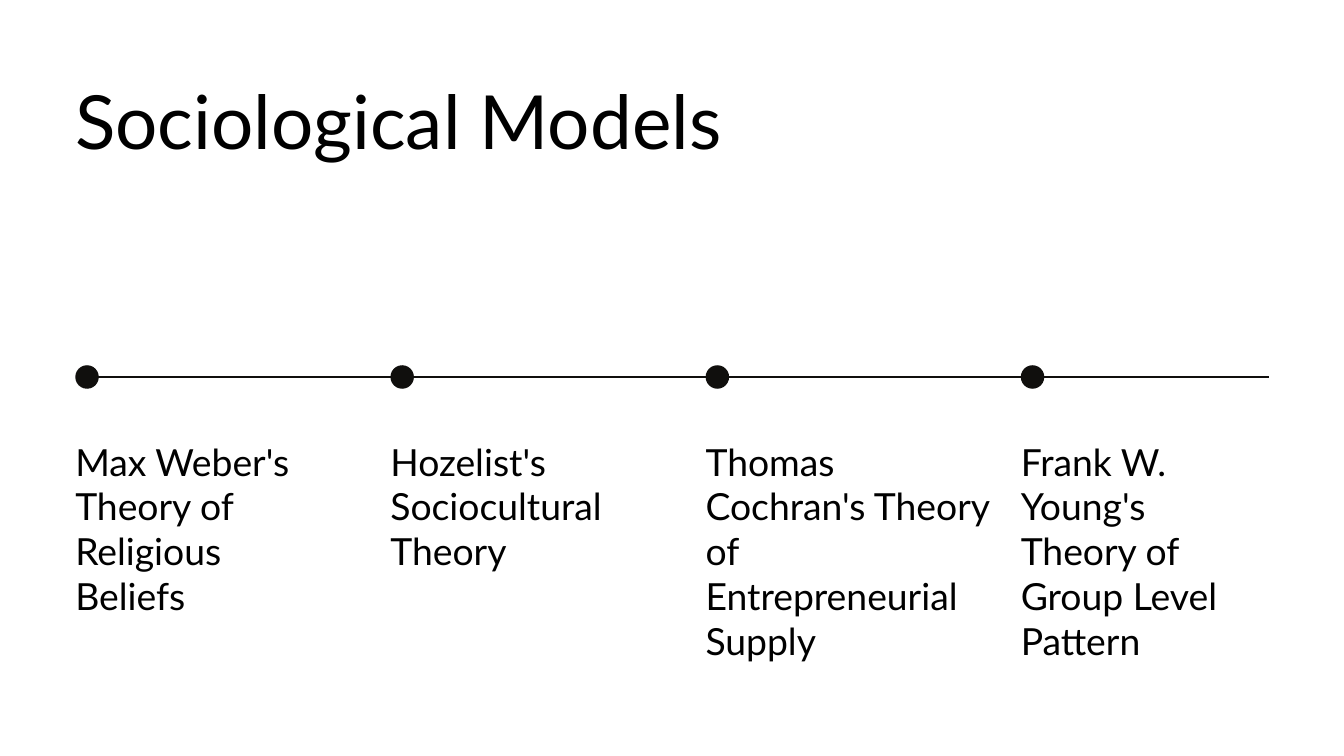
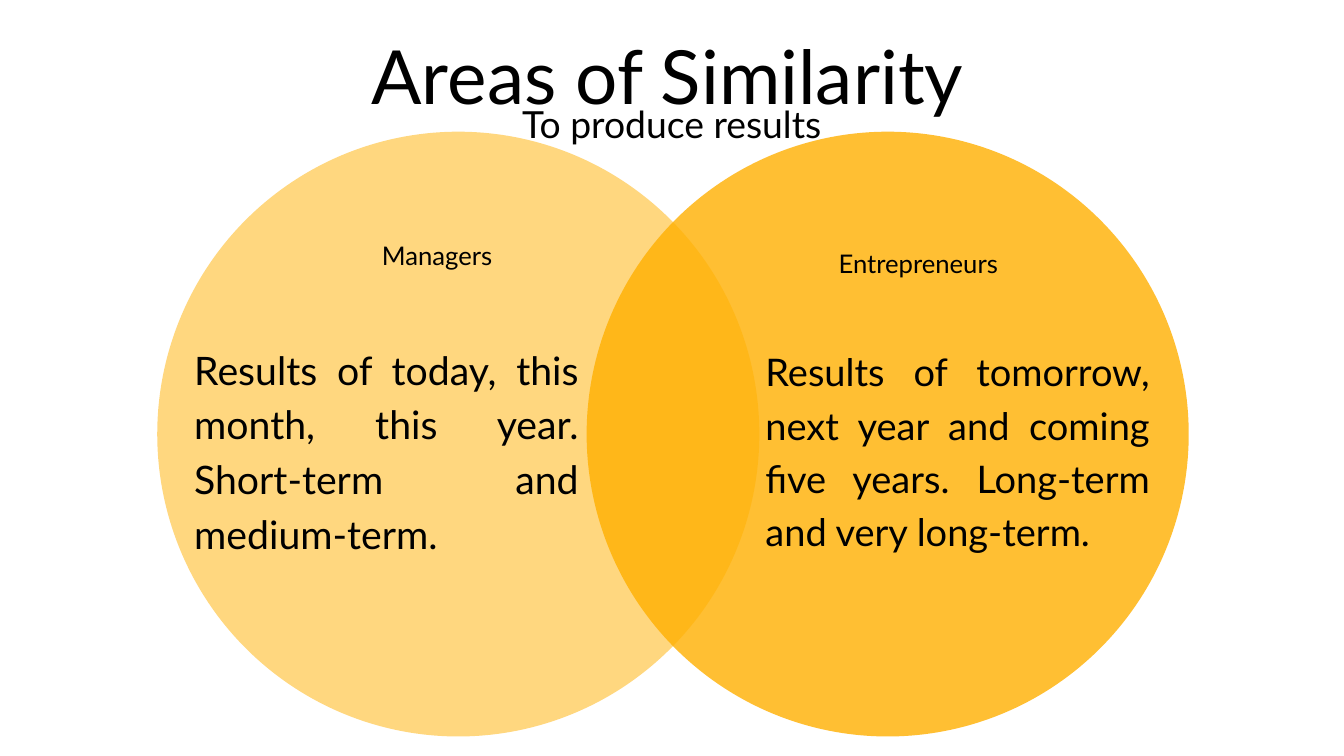
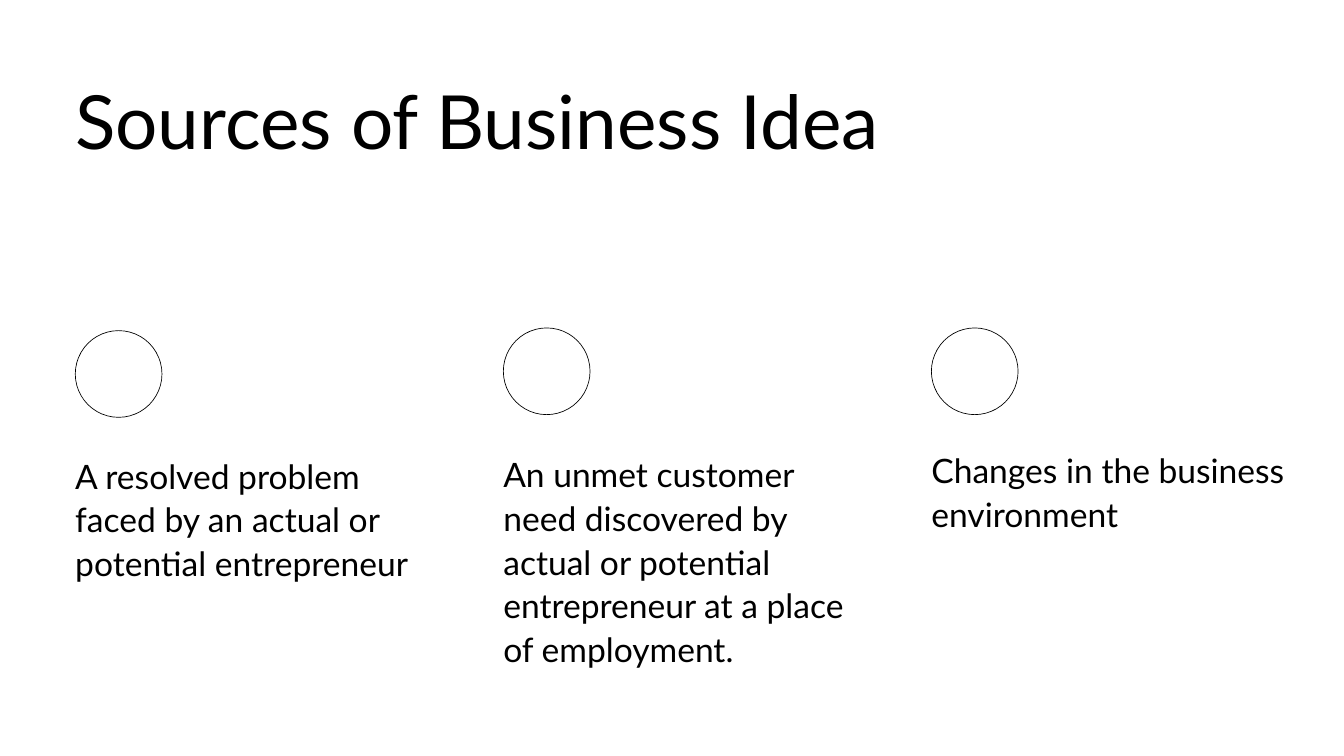
from dataclasses import dataclass

from lxml import etree
from pptx import Presentation
from pptx import util as u
from pptx.dml import color
from pptx.enum import shapes, text
from pptx.oxml import ns


@dataclass(frozen=True)
class Theme:
    font: str = "Lato"
    ink: str = "000000"
    dot: str = "100F0D"
    paper: str = "FFFFFF"
    amber: str = "FFB001"
    title: float = 80
    body: float = 40
    small: float = 36
    label: float = 27.5


theme = Theme()
WIDTH, HEIGHT = 20, 11.25
MARGIN = 1.12
TITLE_BOX = (MARGIN, 1.11, 17.75, 1.34)
LEFT, CENTER, JUSTIFY = text.PP_ALIGN.LEFT, text.PP_ALIGN.CENTER, text.PP_ALIGN.JUSTIFY

deck = Presentation()
deck.slide_width, deck.slide_height = u.Inches(WIDTH), u.Inches(HEIGHT)


def write(page, words, left, top, width, height, size=theme.body, align=LEFT, leading=None, title=False):
    area = [u.Inches(length) for length in (left, top, width, height)]
    box = page.shapes.title if title else page.shapes.add_textbox(*area)
    box.left, box.top, box.width, box.height = area
    frame = box.text_frame
    frame.margin_left = frame.margin_top = frame.margin_right = frame.margin_bottom = 0
    frame.word_wrap = True
    frame.auto_size = text.MSO_AUTO_SIZE.NONE
    frame.vertical_anchor = text.MSO_ANCHOR.TOP
    para = frame.paragraphs[0]
    para.alignment = align
    if leading:
        para.line_spacing = u.Pt(leading)
    span = para.add_run()
    span.text = words
    span.font.name = theme.font
    span.font.size = u.Pt(size)
    span.font.color.rgb = color.RGBColor.from_string(theme.ink)


def add_circle(page, left, top, width, height, fill, opacity=100, outline=None):
    area = [u.Inches(length) for length in (left, top, width, height)]
    circle = page.shapes.add_shape(shapes.MSO_SHAPE.OVAL, *area)
    circle.shadow.inherit = False
    circle.fill.solid()
    circle.fill.fore_color.rgb = color.RGBColor.from_string(fill)
    if opacity < 100:
        tint = circle.fill._xPr.find(".//" + ns.qn("a:srgbClr"))
        etree.SubElement(tint, ns.qn("a:alpha"), val=str(opacity * 1000))
    if outline:
        circle.line.color.rgb = color.RGBColor.from_string(outline)
        circle.line.width = u.Pt(0.75)
    else:
        circle.line.fill.background()


titles = [
    ("Sociological Models", TITLE_BOX, LEFT),
    ("Areas of Similarity", (2.04, 0.45, 15.79, 1.34), CENTER),
    ("Sources of Business Idea", TITLE_BOX, LEFT),
]
pages = []
for words, area, align in titles:
    page = deck.slides.add_slide(deck.slide_layouts[5])
    write(page, words, *area, size=theme.title, align=align, leading=96, title=True)
    pages.append(page)
models_page, similarity_page, sources_page = pages

models = [
    ("Max Weber's Theory of Religious Beliefs", 3.68),
    ("Hozelist's Sociocultural Theory", 4.18),
    ("Thomas Cochran's Theory of Entrepreneurial Supply", 4.24),
    ("Frank W. Young's Theory of Group Level Pattern", 3.68),
]
MODEL_PITCH, DOT, AXIS = 4.69, 0.35, 5.61
timeline = models_page.shapes.add_connector(
    shapes.MSO_CONNECTOR.STRAIGHT,
    u.Inches(MARGIN + DOT / 2), u.Inches(AXIS), u.Inches(WIDTH - MARGIN), u.Inches(AXIS),
)
timeline.line.color.rgb = color.RGBColor.from_string(theme.dot)
timeline.line.width = u.Pt(1.5)
etree.SubElement(timeline._element.spPr, ns.qn("a:effectLst"))
for column, (model, width) in enumerate(models):
    left = MARGIN + column * MODEL_PITCH
    add_circle(models_page, left, AXIS - DOT / 2, DOT, DOT, theme.dot)
    write(models_page, model, left, 6.53, width, 3.37)

for left, opacity in ((8.73, 80), (2.34, 50)):
    add_circle(similarity_page, left, 1.96, 8.96, 9, theme.amber, opacity)
groups = [
    ("Managers", 3.67, 3.46,
     "Results of today, this month, this year. Short-term and medium-term.", 2.89, 5.03, 42, 58.8),
    ("Entrepreneurs", 10.83, 3.57,
     "Results of tomorrow, next year and coming five years. Long-term and very long-term.", 11.39, 5.08, 40.7, 57),
]
for name, name_left, name_top, results, left, top, size, leading in groups:
    write(similarity_page, results, left, top, 5.72, 3.28, size=size, align=JUSTIFY, leading=leading)
    write(similarity_page, name, name_left, name_top, 5.67, 0.54, size=theme.label, align=CENTER, leading=41.2)
write(similarity_page, "To produce results", 7.77, 1.51, 4.89, 0.67)

sources = [
    ("A resolved problem faced by an actual or potential entrepreneur", 4.92, 6.73),
    ("An unmet customer need discovered by actual or potential entrepreneur at a place of employment.", 4.88, 6.71),
    ("Changes in the business environment", 4.88, 6.65),
]
SOURCE_PITCH, RING = 6.37, 1.29
for column, (source, ring_top, top) in enumerate(sources):
    left = MARGIN + column * SOURCE_PITCH
    add_circle(sources_page, left, ring_top, RING, RING, theme.paper, outline=theme.ink)
    write(sources_page, source, left, top, 5.3, 3.3, size=theme.small, leading=46.8)

deck.save("out.pptx")
